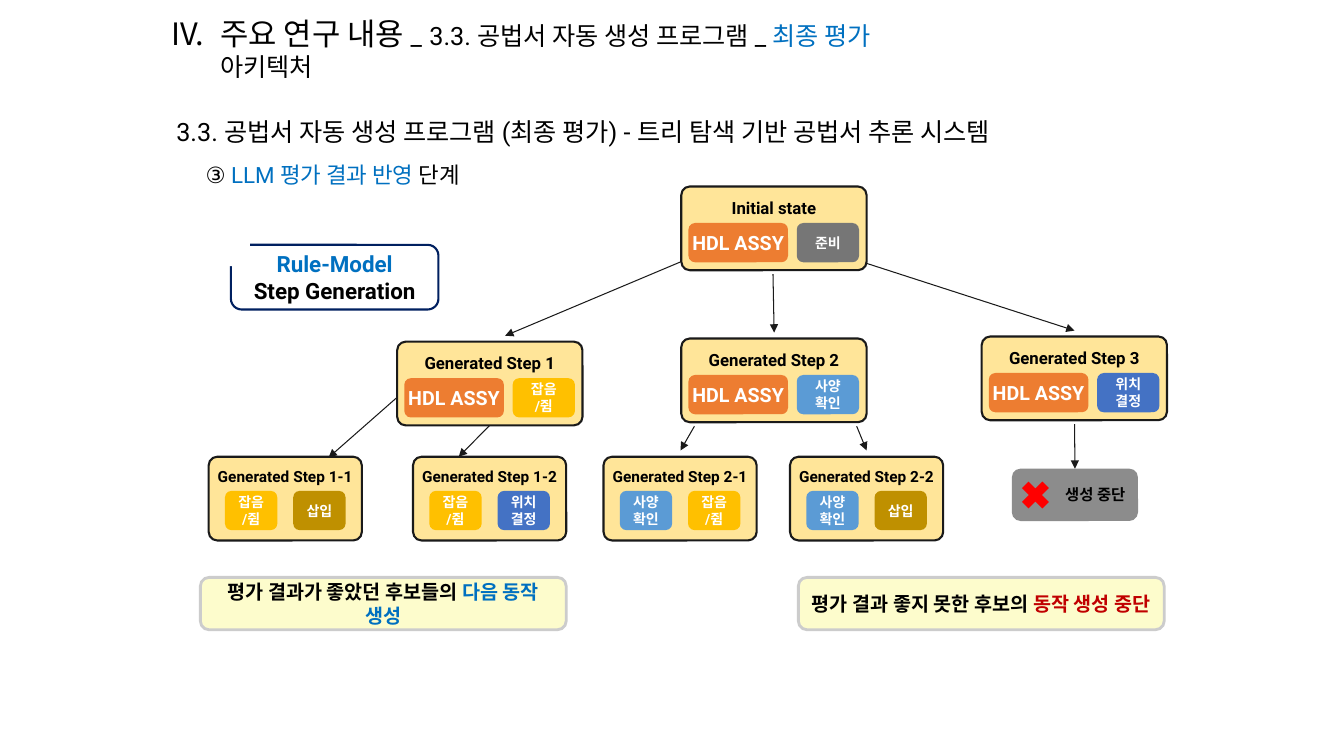
from lxml.etree import SubElement as Sub
from pptx import Presentation
from pptx.dml.color import RGBColor as Rgb
from pptx.enum.shapes import MSO_CONNECTOR as Link, MSO_SHAPE as Kind
from pptx.enum.text import MSO_ANCHOR as Anchor, MSO_AUTO_SIZE as Fit, PP_ALIGN as Align
from pptx.oxml.ns import qn
from pptx.util import Cm, Pt

BLACK, WHITE, BLUE, RED = "000000", "FFFFFF", "0070C0", "C00000"
GOLD, INK, ORANGE = "FFE599", "1A1A1A", "ED7D31"
READY = ("준비", "767676")
GRIP = ("잡음\n/쥠", "FFC000")
CHECK = ("사양\n확인", "5B9BD5")
PLACE = ("위치\n결정", "4472C4")
INSERT = ("삽입", "BF9000")


def paint(color, tone):
    color.rgb = Rgb.from_string(tone)


def area(box):
    return [Cm(v) for v in box]


def write(para, runs, size, bold=False, align=Align.LEFT):
    para.alignment = align
    para.space_before = Pt(0)
    for text, tone, *style in runs:
        run = para.add_run()
        run.text = text
        face, pts = style or ("Roboto", size)
        run.font.name, run.font.size, run.font.bold = face, Pt(pts), bold
        paint(run.font.color, tone)


def block(slide, kind, box, fill, line=None, width=1.5, curve=None):
    shape = slide.shapes.add_shape(kind, *area(box))
    shape.shadow.inherit = False
    shape.fill.solid()
    paint(shape.fill.fore_color, fill)
    if line:
        paint(shape.line.color, line)
        shape.line.width = Pt(width)
    else:
        shape.line.fill.background()
    if curve is not None:
        shape.adjustments[0] = curve
    shape.text_frame.word_wrap = True
    shape.text_frame.vertical_anchor = Anchor.MIDDLE
    return shape


def seat(holder, box, anchor):
    holder.left, holder.top, holder.width, holder.height = area(box)
    frame = holder.text_frame
    frame.word_wrap, frame.auto_size, frame.vertical_anchor = True, Fit.NONE, anchor
    return frame.paragraphs[0]


def indent(para, left, first, mark, **attrs):
    props = para._p.get_or_add_pPr()
    props.set("marL", str(Cm(left)))
    props.set("indent", str(Cm(first)))
    Sub(props, qn(mark), attrs)


def head(slide, box):
    left, top, width, height = box
    para = seat(slide.shapes.title, (left, top, width, height), Anchor.MIDDLE)
    indent(para, 1.24, -1.24, "a:buAutoNum", type="romanUcPeriod", startAt="4")
    write(para, [("주요 연구 내용 ", BLACK, "Karla", 22), ("_", BLACK),
                 (" ", BLACK, "Karla", 22),
                 ("3.3. 공법서 자동 생성 프로그램 _ ", BLACK),
                 ("최종 평가 ", BLUE), ("아키텍처", BLACK)], 18)
    para = seat(slide.placeholders[1], (left + 0.13, top + 1.86, 25.5, 1.63), Anchor.TOP)
    indent(para, 0, 0, "a:buNone")
    para.line_spacing = 1.6
    write(para, [("3.3. 공법서 자동 생성 프로그램 (최종 평가) - 트리 탐색 기반 공법서 추론 시스템", BLACK)], 18)
    step = slide.shapes.add_textbox(*area((left + 0.13, top + 3.46, 26.11, 1.17)))
    step.text_frame.word_wrap = True
    para = step.text_frame.paragraphs[0]
    indent(para, 0.74, 0, "a:buNone")
    write(para, [("③ ", BLACK), ("LLM 평가 결과 반영", BLUE), (" 단계", BLACK)], 16)


def badge(slide, box):
    left, top, width, height = box
    frame = block(slide, Kind.ROUNDED_RECTANGLE, box, WHITE, "002060").text_frame
    write(frame.paragraphs[0], [("Rule-Model", BLUE)], 16, True, Align.CENTER)
    write(frame.add_paragraph(), [("Step Generation", BLACK)], 16, True, Align.CENTER)
    block(slide, Kind.CAN, (left - 0.64, top - 0.76, 1.12, 1.3), WHITE, curve=0.33)


def chip(slide, box, text, fill, size=10):
    frame = block(slide, Kind.ROUNDED_RECTANGLE, box, fill).text_frame
    if size > 10:
        frame.margin_left = frame.margin_right = 0
    for i, line in enumerate(text.split("\n")):
        para = frame.add_paragraph() if i else frame.paragraphs[0]
        write(para, [(line, WHITE)], size, True, Align.CENTER)


def card(slide, box, name, size):
    left, top, width, height = box
    block(slide, Kind.ROUNDED_RECTANGLE, box, GOLD, INK, curve=0.102)
    label = slide.shapes.add_textbox(*area((left - 0.23, top - 0.15, width + 0.46, 0.99)))
    label.text_frame.word_wrap = True
    para = label.text_frame.paragraphs[0]
    para.line_spacing = 1.6
    write(para, [(name, BLACK)], size, True, Align.CENTER)


def major(slide, left, top, name, act):
    card(slide, (left, top, 4.67, 2.11), name, 12)
    chip(slide, (left + 0.18, top + 0.92, 2.51, 0.99), "HDL ASSY", ORANGE, 14)
    chip(slide, (left + 2.91, top + 0.92, 1.57, 0.99), *act)


def minor(slide, left, top, name, acts):
    card(slide, (left, top, 3.86, 2.11), name, 11)
    for i, act in enumerate(acts):
        chip(slide, (left + 0.41 + 1.72 * i, top + 0.86, 1.32, 0.99), *act)


def halt(slide, box):
    left, top, width, height = box
    shape = block(slide, Kind.ROUNDED_RECTANGLE, box, "8C8C8C")
    write(shape.text_frame.paragraphs[0], [("생성 중단", BLACK)], 11, True, Align.RIGHT)
    block(slide, Kind.MATH_MULTIPLY, (left + 0.1, top + 0.17, 0.99, 0.99), "FF0000")
    return shape


def arrow(slide, ends):
    link = slide.shapes.add_connector(Link.STRAIGHT, *area(ends))
    paint(link.line.color, INK)
    link.line.width = Pt(0.75)
    Sub(link.line._get_or_add_ln(), qn("a:tailEnd"), type="triangle")
    Sub(link._element.spPr, qn("a:effectLst"))
    return link


def tree(slide, box):
    left, top, width, height = box
    for x, y, to_x, to_y in (
        (11.89, 1.9, 7.47, 3.76), (14.22, 2.21, 14.25, 3.68), (16.56, 1.93, 21.82, 3.63),
        (4.75, 5.31, 3.02, 6.83), (7.08, 6.02, 6.3, 6.81),
        (12.24, 6.04, 11.89, 6.65), (16.33, 6.04, 16.58, 6.65),
    ):
        arrow(slide, (left + x, top + y, left + to_x, top + to_y))
    for x, y, name, act in (
        (11.91, 0, "Initial state", READY), (4.75, 3.91, "Generated Step 1", GRIP),
        (11.91, 3.83, "Generated Step 2", CHECK), (19.48, 3.78, "Generated Step 3", PLACE),
    ):
        major(slide, left + x, top + y, name, act)
    for x, name, acts in (
        (0, "1-1", (GRIP, INSERT)), (5.15, "1-2", (GRIP, PLACE)),
        (9.95, "2-1", (CHECK, GRIP)), (14.65, "2-2", (CHECK, INSERT)),
    ):
        minor(slide, left + x, top + height - 2.11, f"Generated Step {name}", acts)
    stop = halt(slide, (left + 20.24, top + 7.11, 3.18, 1.32))
    link = arrow(slide, (left + 21.82, top + 5.99, left + 21.83, top + 7.11))
    link.end_connect(stop, 0)


def note(slide, box, lead, key, tone):
    frame = block(slide, Kind.ROUNDED_RECTANGLE, box, "FDFCCC", "CCCCCC", 2).text_frame
    write(frame.paragraphs[0], [(lead, BLACK), (key, tone)], 14, True, Align.CENTER)


def main():
    deck = Presentation()
    deck.slide_width, deck.slide_height = Cm(33.87), Cm(19.05)
    slide = deck.slides.add_slide(deck.slide_layouts[1])
    head(slide, (4.06, 0.48, 20.42, 1.47))
    badge(slide, (5.82, 6.17, 5.23, 1.63))
    tree(slide, (5.26, 4.7, 24.15, 8.92))
    note(slide, (5.05, 14.55, 9.22, 1.32), "평가 결과가 좋았던 후보들의 ", "다음 동작 생성", BLUE)
    note(slide, (20.12, 14.55, 9.22, 1.32), "평가 결과 좋지 못한 후보의 ", "동작 생성 중단", RED)
    deck.save("out.pptx")


if __name__ == "__main__":
    main()
